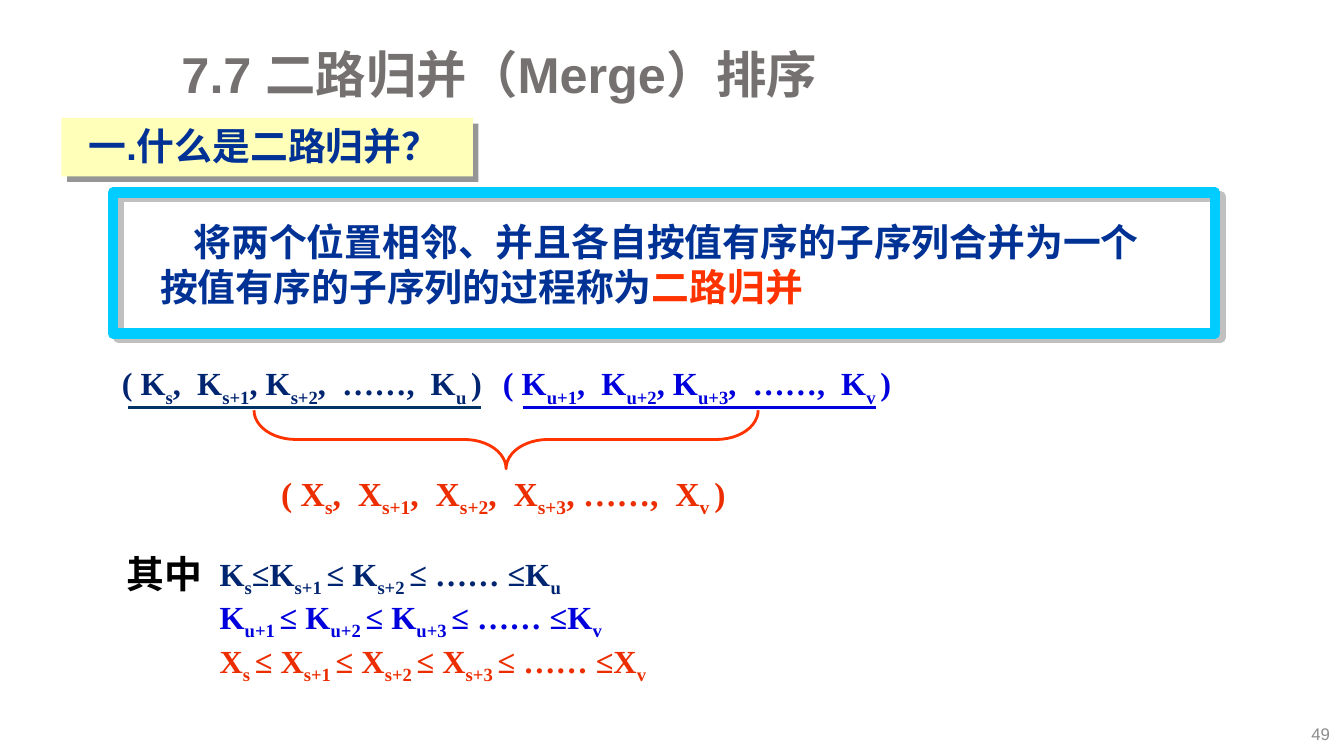
from lxml import etree
from pptx import Presentation
from pptx.dml.color import RGBColor
from pptx.enum.shapes import MSO_CONNECTOR, MSO_SHAPE
from pptx.enum.text import MSO_ANCHOR, MSO_AUTO_SIZE, PP_ALIGN
from pptx.oxml.ns import qn
from pptx.util import Inches, Pt

GRAY = RGBColor(0x76, 0x71, 0x71)
PAGE_GRAY = RGBColor(0x8C, 0x8C, 0x8C)
BLACK = RGBColor(0, 0, 0)
NAVY = RGBColor(0x00, 0x25, 0x70)
LINE_NAVY = RGBColor(0x00, 0x33, 0x66)
BLUE = RGBColor(0x00, 0x00, 0xDC)
TEXT_BLUE = RGBColor(0x00, 0x32, 0x96)
RED = RGBColor(0xEC, 0x2D, 0x00)
ORANGE = RGBColor(0xFF, 0x33, 0x00)
CYAN = RGBColor(0x00, 0xCC, 0xFF)
YELLOW = RGBColor(0xFF, 0xFF, 0xB9)
FRAME_SHADOW = RGBColor(0xC0, 0xC0, 0xC0)
HEADING_SHADOW = RGBColor(0x96, 0x96, 0x96)

CJK = "Noto Sans CJK SC"
SANS = "Arial"
SERIF = "Times New Roman"


def add_run(paragraph, text, size, color, font=SANS, bold=True, east_asian=None, subscript=False):
    run = paragraph.add_run()
    run.text = text
    run.font.size = Pt(size)
    run.font.bold = bold
    run.font.color.rgb = color
    run.font.name = font
    properties = run._r.get_or_add_rPr()
    if east_asian:
        etree.SubElement(properties, qn("a:ea")).set("typeface", east_asian)
    if subscript:
        properties.set("baseline", "-25000")


def add_text_box(slide, box, anchor=MSO_ANCHOR.TOP):
    """Add an empty wrapping text box and return its first paragraph."""
    frame = slide.shapes.add_textbox(*map(Inches, box)).text_frame
    frame.word_wrap = True
    frame.vertical_anchor = anchor
    return frame.paragraphs[0]


def add_formula(slide, box, formula, color, size=23):
    """Write a formula in which each _..._ part is a subscript."""
    paragraph = add_text_box(slide, box)
    for index, part in enumerate(formula.split("_")):
        if part:
            add_run(paragraph, part, size, color, font=SERIF, subscript=index % 2 == 1)


def add_shadow(shape, color, distance, angle):
    shape.shadow.inherit = False
    effects = shape._element.spPr.find(qn("a:effectLst"))
    shadow = etree.SubElement(effects, qn("a:outerShdw"), blurRad="0", dist=str(Pt(distance)),
                              dir=str(angle * 60000), algn="ctr", rotWithShape="0")
    etree.SubElement(shadow, qn("a:srgbClr")).set("val", str(color))


def add_title(slide, box):
    title = slide.shapes.title
    title.left, title.top, title.width, title.height = map(Inches, box)
    frame = title.text_frame
    frame.auto_size = MSO_AUTO_SIZE.NONE
    frame.vertical_anchor = MSO_ANCHOR.MIDDLE
    paragraph = frame.paragraphs[0]
    paragraph.alignment = PP_ALIGN.LEFT
    paragraph.line_spacing = 0.9
    add_run(paragraph, "7.7 二路归并（Merge）排序", 36, GRAY, east_asian=CJK)


def add_heading(slide, box):
    left, top, width, height = box
    panel = slide.shapes.add_shape(MSO_SHAPE.RECTANGLE, *map(Inches, box))
    panel.fill.solid()
    panel.fill.fore_color.rgb = YELLOW
    panel.line.fill.background()
    add_shadow(panel, HEADING_SHADOW, 5.7, 45)
    paragraph = add_text_box(slide, (left + 0.17, top, width, height))
    add_run(paragraph, "一.什么是二路归并？", 27, TEXT_BLUE, east_asian=CJK)


def add_definition(slide, box):
    left, top, width, height = box
    panel = slide.shapes.add_shape(MSO_SHAPE.RECTANGLE, *map(Inches, box))
    panel.fill.background()
    panel.line.color.rgb = CYAN
    panel.line.width = Pt(7.5)
    add_shadow(panel, FRAME_SHADOW, 5, 37)
    paragraph = add_text_box(slide, (left + 0.37, top + 0.21, width - 0.74, height - 0.39))
    paragraph._p.get_or_add_pPr().set("indent", str(Inches(0.33)))
    add_run(paragraph, "将两个位置相邻、并且各自按值有序的子序列合并为一个按值有序的子序列的过程称为",
            27, TEXT_BLUE, font=CJK, east_asian=CJK)
    add_run(paragraph, "二路归并", 27, ORANGE, east_asian=CJK)


def add_underline(slide, left, top, width, color):
    line = slide.shapes.add_connector(
        MSO_CONNECTOR.STRAIGHT, Inches(left), Inches(top), Inches(left + width), Inches(top))
    line.line.color.rgb = color
    line.line.width = Pt(2.25)
    etree.SubElement(line._element.spPr, qn("a:effectLst"))


def add_down_brace(slide, box):
    """Turn a left brace so that it fills the box and points down."""
    left, top, width, height = box
    shift = (width - height) / 2
    brace = slide.shapes.add_shape(MSO_SHAPE.LEFT_BRACE, Inches(left + shift), Inches(top - shift),
                                   Inches(height), Inches(width))
    brace.adjustments[0] = 0.714
    brace.adjustments[1] = 0.5
    brace.rotation = 90
    for flip in ("flipH", "flipV"):
        brace._element.spPr.find(qn("a:xfrm")).set(flip, "1")
    brace.fill.background()
    brace.line.color.rgb = ORANGE
    brace.line.width = Pt(2)
    brace.shadow.inherit = False


def add_merge_diagram(slide, box):
    left, top, width, height = box
    add_formula(slide, (left, top, 4.41, 0.48),
                "( K_s_,  K_s+1_, K_s+2_,  ……,  K_u _)", NAVY)
    add_formula(slide, (left + 3.78, top, 4.71, 0.48),
                "( K_u+1_,  K_u+2_, K_u+3_,  ……,  K_v _)", BLUE)
    for offset, color in ((0.16, LINE_NAVY), (4.08, BLUE)):
        add_underline(slide, left + offset, top + 0.48, 3.5, color)
    add_down_brace(slide, (left + 1.41, top + 0.51, 5, 0.58))
    add_formula(slide, (left + 1.58, top + height - 0.5, 5.08, 0.5),
                "( X_s_,  X_s+1_,  X_s+2_,  X_s+3_, ……,  X_v _)", RED, size=24)


def add_conditions(slide, box):
    left, top, width, height = box
    paragraph = add_text_box(slide, (left, top, 1.25, 0.55))
    add_run(paragraph, "其中", 27, BLACK, font=CJK, east_asian=CJK)
    conditions = (
        ("K_s_≤K_s+1 _≤ K_s+2 _≤ …… ≤K_u_", NAVY),
        ("K_u+1 _≤ K_u+2 _≤ K_u+3 _≤ …… ≤K_v_", BLUE),
        ("X_s _≤ X_s+1 _≤ X_s+2 _≤ X_s+3 _≤ …… ≤X_v_", RED),
    )
    pitch = (height - 0.52) / (len(conditions) - 1)
    for index, (formula, color) in enumerate(conditions):
        add_formula(slide, (left + 0.92, top + 0.04 + index * pitch, width - 0.92, 0.48),
                    formula, color)


def add_page_number(slide, box):
    paragraph = add_text_box(slide, box, anchor=MSO_ANCHOR.MIDDLE)
    paragraph.alignment = PP_ALIGN.RIGHT
    add_run(paragraph, "49", 12, PAGE_GRAY, bold=False)


def main():
    presentation = Presentation()
    presentation.slide_width = Inches(13.33)
    presentation.slide_height = Inches(7.5)
    slide = presentation.slides.add_slide(presentation.slide_layouts[5])
    add_title(slide, (1.7, 0.34, 11.25, 0.85))
    add_heading(slide, (0.61, 1.17, 4.08, 0.58))
    add_definition(slide, (1.12, 1.91, 10.93, 1.4))
    add_merge_diagram(slide, (1.11, 3.56, 8.49, 1.58))
    add_conditions(slide, (1.16, 5.41, 5.76, 1.38))
    add_page_number(slide, (10.29, 7.12, 3, 0.31))
    presentation.save("out.pptx")


if __name__ == "__main__":
    main()
